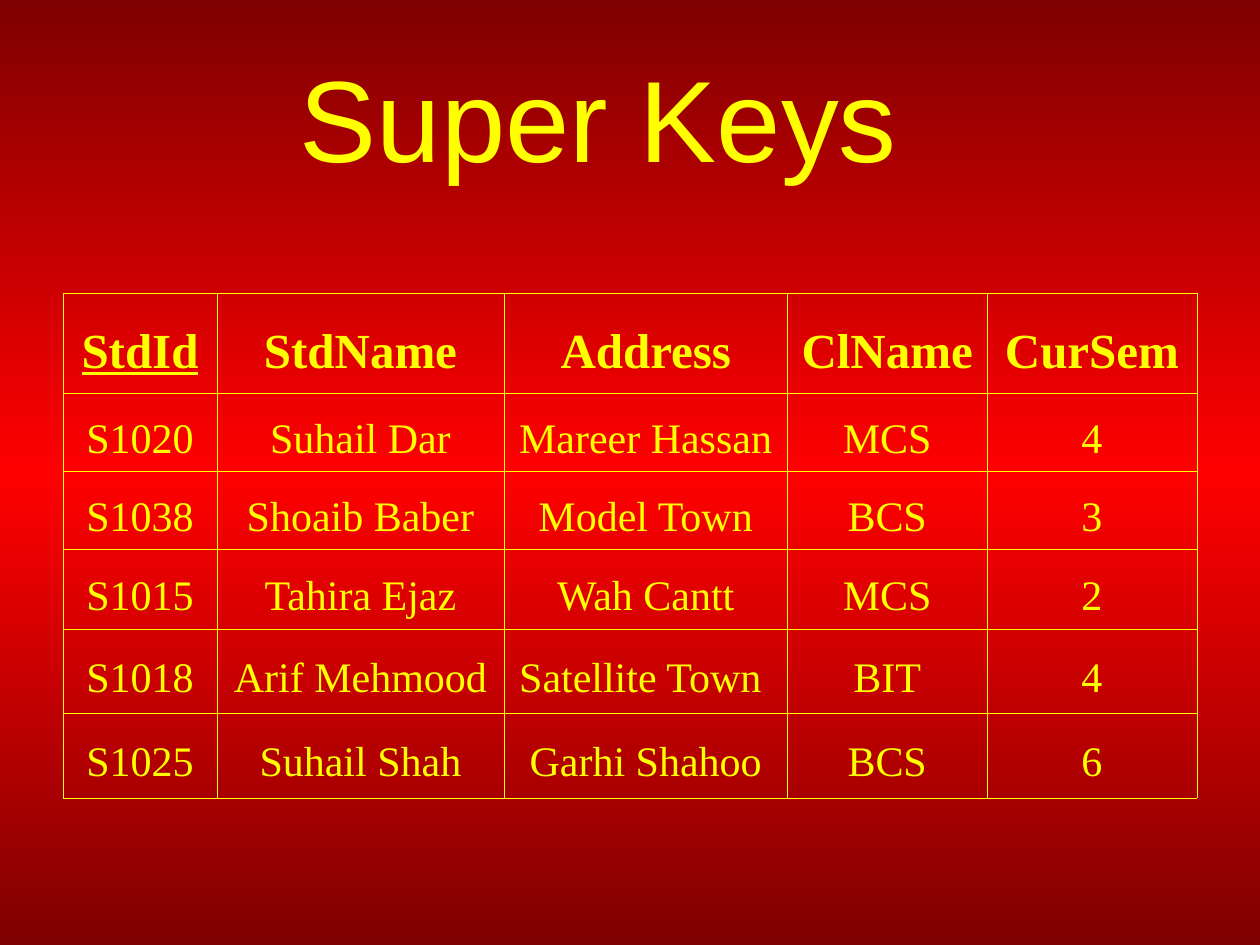
from copy import deepcopy
from lxml.etree import SubElement
from pptx import Presentation
from pptx.dml.color import RGBColor
from pptx.enum.text import MSO_ANCHOR, MSO_AUTO_SIZE, PP_ALIGN
from pptx.oxml.ns import qn
from pptx.util import Pt

TITLE = "Super Keys"
ROWS = [
    ("StdId", "StdName", "Address", "ClName", "CurSem"),
    ("S1020", "Suhail Dar", "Mareer Hassan", "MCS", "4"),
    ("S1038", "Shoaib Baber", "Model Town", "BCS", "3"),
    ("S1015", "Tahira Ejaz", "Wah Cantt", "MCS", "2"),
    ("S1018", "Arif Mehmood", "Satellite Town ", "BIT", "4"),
    ("S1025", "Suhail Shah", "Garhi Shahoo", "BCS", "6"),
]
WIDTHS = (122, 164, 162, 114.5, 120)
WIDTHS = (88, 164, 162, 114, 120)
HEIGHTS = (56.8, 44.8, 44.8, 45.4, 48.2, 48.2)
THEME = {
    "ink": "FFFF00",
    "ground": ((0, "7F0000"), (0.5, "FF0000"), (1, "7F0000")),
    "title": ("Arial", 66),
    "head": ("Times New Roman", 28),
    "body": ("Times New Roman", 24),
    "line": 0.45,
}


def paint(slide):
    fill = slide.background.fill
    fill.gradient()
    fill.gradient_angle = 270
    stops = slide.element.find(".//" + qn("a:gsLst"))
    stops.insert(1, deepcopy(stops[0]))
    for stop, (place, tone) in zip(fill.gradient_stops, THEME["ground"]):
        stop.position = place
        stop.color.rgb = RGBColor.from_string(tone)


def style(para, role, bold=False, under=False):
    para.alignment = PP_ALIGN.CENTER
    for run in para.runs:
        font = run.font
        name, size = THEME[role]
        font.name, font.size = name, Pt(size)
        font.bold, font.underline = bold, under
        font.color.rgb = RGBColor.from_string(THEME["ink"])


def border(cell):
    props = cell._tc.get_or_add_tcPr()
    for index, side in enumerate("LRTB"):
        line = SubElement(props, qn(f"a:ln{side}"), w=str(Pt(THEME["line"])))
        fill = SubElement(line, qn("a:solidFill"))
        SubElement(fill, qn("a:srgbClr"), val=THEME["ink"])
        props.insert(index, line)


def add_title(slide):
    title = slide.shapes.title
    title.left, title.top = Pt(0), Pt(21.6)
    title.width, title.height = Pt(684), Pt(90)
    frame = title.text_frame
    frame.text = TITLE
    frame.auto_size = MSO_AUTO_SIZE.NONE
    frame.vertical_anchor = MSO_ANCHOR.MIDDLE
    style(frame.paragraphs[0], "title")


def add_grid(slide):
    table = slide.shapes.add_table(
        len(ROWS), len(WIDTHS), Pt(36), Pt(167.8),
        Pt(sum(WIDTHS)), Pt(sum(HEIGHTS))).table
    table.first_row = table.horz_banding = False
    for col, width in zip(table.columns, WIDTHS):
        col.width = Pt(width)
    for row, height in zip(table.rows, HEIGHTS):
        row.height = Pt(height)
    for r, row in enumerate(ROWS):
        for c, text in enumerate(row):
            cell = table.cell(r, c)
            cell.text_frame.text = text
            cell.vertical_anchor = MSO_ANCHOR.MIDDLE
            cell.fill.background()
            border(cell)
            para = cell.text_frame.paragraphs[0]
            para.line_spacing = 1.3
            head = r == 0
            style(para, "head" if head else "body", head, head and c == 0)


def main():
    deck = Presentation()
    deck.slide_width, deck.slide_height = Pt(720), Pt(540)
    slide = deck.slides.add_slide(deck.slide_layouts[5])
    paint(slide)
    add_title(slide)
    add_grid(slide)
    deck.save("out.pptx")


if __name__ == "__main__":
    main()
